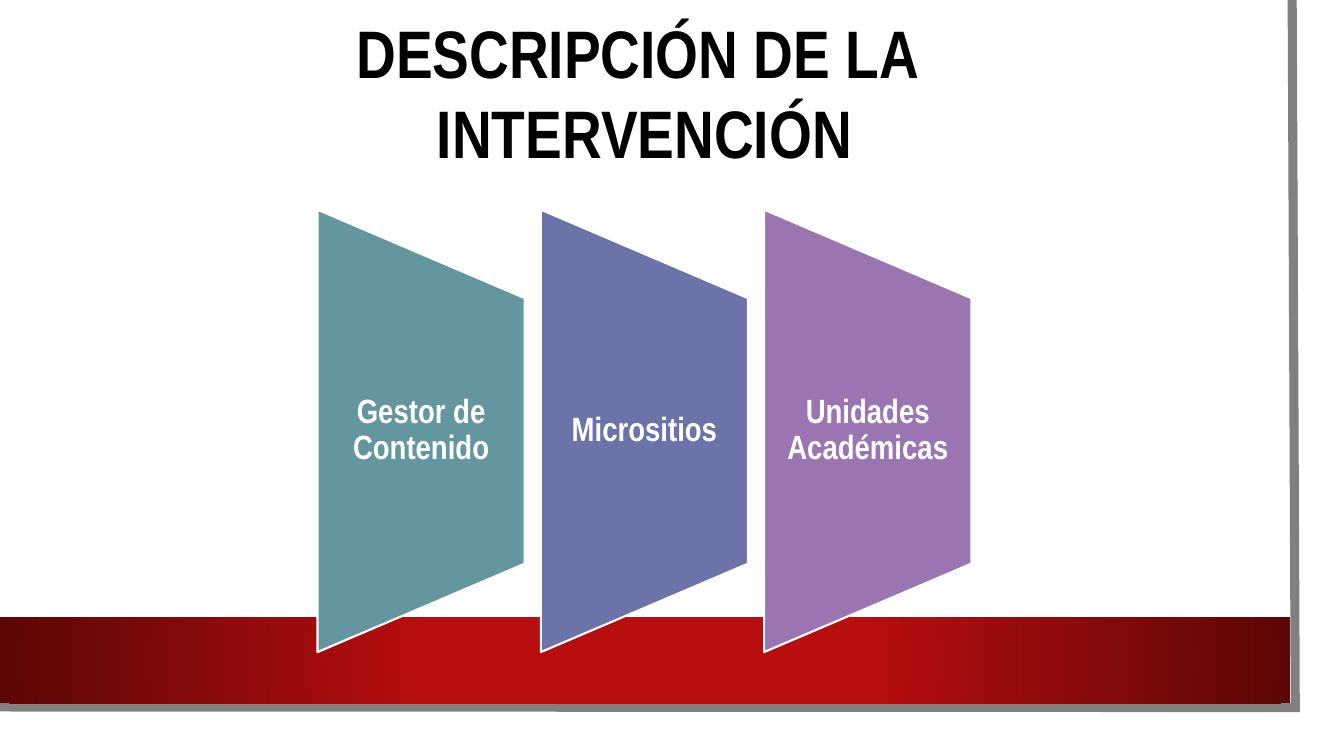
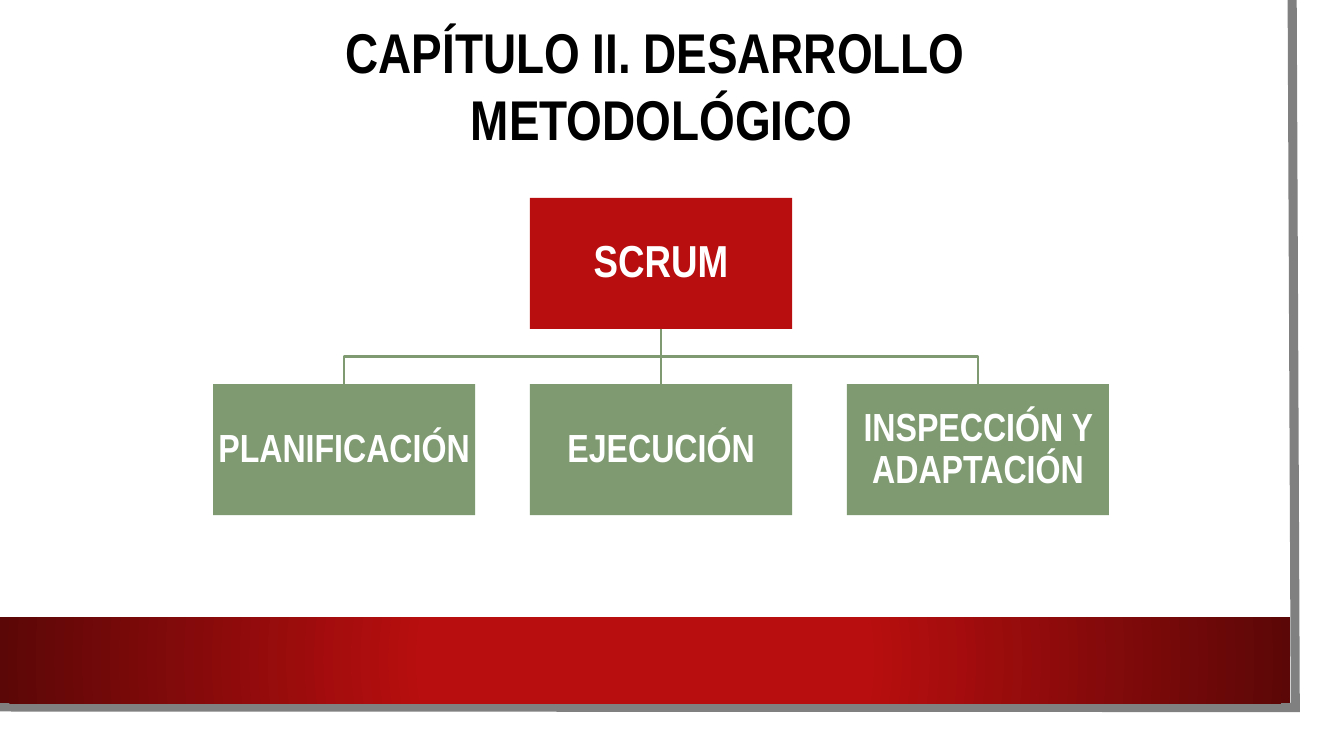
"""Build two slides on an intervention and its Scrum method, over a shared red-banded backdrop."""
from dataclasses import dataclass

from lxml.etree import SubElement
from pptx import Presentation
from pptx.dml.color import RGBColor
from pptx.enum.shapes import MSO_CONNECTOR, MSO_SHAPE
from pptx.enum.text import MSO_ANCHOR, MSO_AUTO_SIZE, PP_ALIGN
from pptx.oxml import parse_xml
from pptx.oxml.ns import nsdecls, qn
from pptx.util import Pt


@dataclass(frozen=True)
class Theme:
    font: str = "Arial Narrow"
    black: str = "000000"
    white: str = "FFFFFF"
    red: str = "B80E0F"
    dark_red: str = "5C0707"
    edge_grey: str = "808080"
    green: str = "7F9A71"
    teal: str = "64969F"
    blue: str = "6C73A9"
    purple: str = "9B75B2"
    intervention_title_size: int = 48
    method_title_size: int = 40
    panel_size: int = 24
    root_size: int = 32
    branch_size: int = 28


theme = Theme()


def add_block(slide, preset, left, top, width, height, fill):
    block = slide.shapes.add_shape(preset, Pt(left), Pt(top), Pt(width), Pt(height))
    block.shadow.inherit = False
    block.fill.solid()
    block.fill.fore_color.rgb = RGBColor.from_string(fill)
    block.line.fill.background()
    return block


def write_label(holder, text, size, inset_x, inset_y):
    frame = holder.text_frame
    frame.word_wrap = True
    frame.vertical_anchor = MSO_ANCHOR.MIDDLE
    frame.margin_left = frame.margin_right = Pt(inset_x)
    frame.margin_top = frame.margin_bottom = Pt(inset_y)
    frame.text = text
    paragraph = frame.paragraphs[0]
    paragraph.alignment = PP_ALIGN.CENTER
    paragraph.line_spacing = 0.9
    paragraph.font.name = theme.font
    paragraph.font.size = Pt(size)
    paragraph.font.bold = True
    paragraph.font.color.rgb = RGBColor.from_string(theme.white)


presentation = Presentation()
presentation.slide_width, presentation.slide_height = Pt(960), Pt(540)
title_only = presentation.slide_layouts[5]

headings = [
    ("DESCRIPCIÓN DE LA \nINTERVENCIÓN", theme.intervention_title_size,
     (245.2, 4.3, 430.5, 123.8)),
    ("CAPÍTULO II. DESARROLLO \nMETODOLÓGICO", theme.method_title_size,
     (237.5, 8.6, 470.2, 104.4)),
]
slides = []
for heading, size, place in headings:
    slide = presentation.slides.add_slide(title_only)
    title = slide.shapes.title
    title.left, title.top, title.width, title.height = map(Pt, place)
    title.text_frame.text = heading
    title.text_frame.word_wrap = False
    title.text_frame.auto_size = MSO_AUTO_SIZE.NONE
    title.text_frame.vertical_anchor = MSO_ANCHOR.TOP
    for paragraph in title.text_frame.paragraphs:
        paragraph.alignment = PP_ALIGN.CENTER
        paragraph.font.name = theme.font
        paragraph.font.size = Pt(size)
        paragraph.font.bold = True
        paragraph.font.color.rgb = RGBColor.from_string(theme.black)
    slides.append(slide)
intervention, method = slides

sheet = add_block(intervention, MSO_SHAPE.RECTANGLE, 0, 0, 943.2, 523.4, theme.white)

outline = intervention.shapes.build_freeform(Pt(923), Pt(0))
outline.add_line_segments([(Pt(925.2), Pt(505.4)), (Pt(-2.2), Pt(505))], close=False)
sheet_edge = outline.convert_to_shape()
sheet_edge.shadow.inherit = False
sheet_edge.fill.background()
sheet_edge.line.color.rgb = RGBColor.from_string(theme.edge_grey)
sheet_edge.line.width = Pt(6.5)
SubElement(sheet_edge.element.spPr.find(qn("a:ln")), qn("a:miter")).set("lim", "800000")

band = add_block(intervention, MSO_SHAPE.RECTANGLE, 0, 441, 921.6, 61.2, theme.red)
band_fill = band.element.spPr.find(qn("a:solidFill"))
band_fill.getparent().replace(band_fill, parse_xml(
    f'<a:gradFill {nsdecls("a")} rotWithShape="1"><a:gsLst>'
    f'<a:gs pos="34000"><a:srgbClr val="{theme.red}"/></a:gs>'
    f'<a:gs pos="100000"><a:srgbClr val="{theme.dark_red}"/></a:gs></a:gsLst>'
    '<a:path path="circle"><a:fillToRect l="50000" t="50000" r="50000" b="50000"/></a:path>'
    '</a:gradFill>'))

layout_title = title_only.placeholders[0].element
for part in (sheet, sheet_edge, band):
    layout_title.addprevious(part.element)

panels = [
    ("Gestor de Contenido", theme.teal),
    ("Micrositios", theme.blue),
    ("Unidades Académicas", theme.purple),
]
panel_length, panel_width, panel_pitch = 316, 148, 159.5
panel_middle = 307.8
for index, (text, color) in enumerate(panels):
    center = 300.8 + index * panel_pitch
    panel = add_block(intervention, MSO_SHAPE.FLOWCHART_MANUAL_OPERATION,
                      center - panel_length / 2, panel_middle - panel_width / 2,
                      panel_length, panel_width, color)
    panel.rotation = 270
    panel.line.color.rgb = RGBColor.from_string(theme.white)
    panel.line.width = Pt(1.5)
    label = intervention.shapes.add_textbox(
        Pt(center - panel_width / 2), Pt(213), Pt(panel_width), Pt(189.6))
    write_label(label, text, theme.panel_size, 12, 0)

box_width, box_height, box_pitch = 187.2, 93.6, 226.4
root_center, root_top, branch_top = 472.2, 141.4, 274.4
root_bottom = root_top + box_height
bus_y = (root_bottom + branch_top) / 2

scrum = add_block(method, MSO_SHAPE.RECTANGLE, root_center - box_width / 2, root_top,
                  box_width, box_height, theme.red)
write_label(scrum, "SCRUM", theme.root_size, 1.4, 1.4)

for index, text in enumerate(["PLANIFICACIÓN", "EJECUCIÓN", "INSPECCIÓN Y ADAPTACIÓN"]):
    center = root_center + (index - 1) * box_pitch
    phase = add_block(method, MSO_SHAPE.RECTANGLE, center - box_width / 2, branch_top,
                      box_width, box_height, theme.green)
    write_label(phase, text, theme.branch_size, 1.4, 1.4)
    if center == root_center:
        branch = method.shapes.add_connector(
            MSO_CONNECTOR.STRAIGHT, Pt(center), Pt(root_bottom), Pt(center), Pt(branch_top))
        branch.begin_connect(scrum, 2)
        branch.end_connect(phase, 0)
        SubElement(branch.element.spPr, qn("a:effectLst"))
    else:
        elbow = method.shapes.build_freeform(Pt(root_center), Pt(root_bottom))
        elbow.add_line_segments([(Pt(root_center), Pt(bus_y)), (Pt(center), Pt(bus_y)),
                                 (Pt(center), Pt(branch_top))], close=False)
        branch = elbow.convert_to_shape()
        branch.shadow.inherit = False
        branch.fill.background()
    branch.line.color.rgb = RGBColor.from_string(theme.green)
    branch.line.width = Pt(1.5)

presentation.save("out.pptx")
